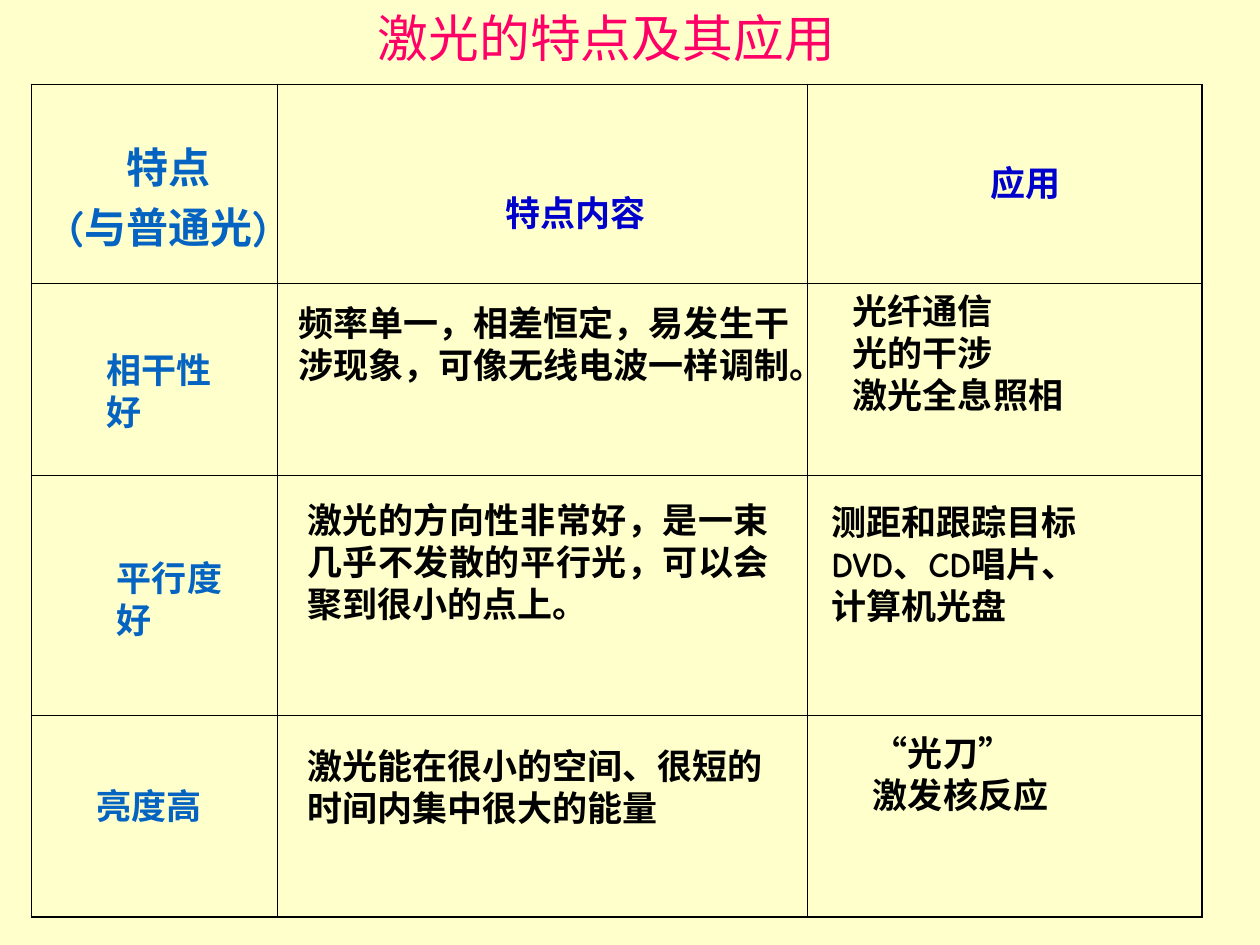
from dataclasses import dataclass

from lxml.etree import SubElement
from pptx import Presentation
from pptx.dml.color import RGBColor
from pptx.enum.lang import MSO_LANGUAGE_ID as Lang
from pptx.enum.text import MSO_ANCHOR as Anchor, MSO_AUTO_SIZE as AutoSize, PP_ALIGN as Align
from pptx.oxml.ns import qn
from pptx.util import Inches, Pt

GRID_COLUMNS, GRID_ROWS = 100, 75
TITLE_ONLY = 5


@dataclass(frozen=True)
class Theme:
    paper: str = "FFFFCC"
    title: str = "FF0066"
    feature: str = "0563C1"
    heading: str = "0000CC"
    body: str = "000000"
    rule: str = "000000"
    title_size: float = 29
    corner_size: float = 24
    body_size: float = 20
    outer_rule: float = 1.08
    inner_rule: float = 0.45
    title_font: str = "Arial"
    body_font: str = "Comic Neue"


def write(frame, text, *, font, size, color, bold=False, align=Align.LEFT, gap=0, quote_font=None):
    """Fill a frame, one paragraph a line; curly quotes may take their own font."""
    for number, line in enumerate(text.split("\n")):
        paragraph = frame.add_paragraph() if number else frame.paragraphs[0]
        paragraph.alignment = align
        paragraph.space_before = Pt(gap if number else 0)
        pieces = line.replace("“", "\t“\t").replace("”", "\t”\t").split("\t")
        for piece in filter(None, pieces):
            run = paragraph.add_run()
            run.text = piece
            run.font.name = quote_font if quote_font and piece in "“”" else font
            run.font.size, run.font.bold = Pt(size), bold
            run.font.color.rgb = RGBColor.from_string(color)
            run.font.language_id = Lang.SIMPLIFIED_CHINESE


class SlideBuilder:
    def __init__(self, deck, theme):
        self.theme = theme
        self.column = deck.slide_width / GRID_COLUMNS
        self.row = deck.slide_height / GRID_ROWS
        self.slide = deck.slides.add_slide(deck.slide_layouts[TITLE_ONLY])
        self.paint(self.slide.background.fill)

    def paint(self, fill):
        fill.solid()
        fill.fore_color.rgb = RGBColor.from_string(self.theme.paper)

    def box(self, left, top, width, height):
        """Turn grid columns and rows into slide lengths."""
        return (round(left * self.column), round(top * self.row),
                round(width * self.column), round(height * self.row))

    def title(self, text, *area):
        heading = self.slide.shapes.title
        heading.left, heading.top, heading.width, heading.height = self.box(*area)
        self.paint(heading.fill)
        frame = heading.text_frame
        frame.auto_size, frame.vertical_anchor = AutoSize.NONE, Anchor.TOP
        write(frame, text, font=self.theme.title_font, size=self.theme.title_size,
              color=self.theme.title, align=Align.CENTER)

    def ruled_table(self, left, top, widths, heights):
        area = self.box(left, top, sum(widths), sum(heights))
        table = self.slide.shapes.add_table(len(heights), len(widths), *area).table
        table.first_row = table.horz_banding = False
        for column, width in zip(table.columns, widths):
            column.width = round(width * self.column)
        for row, height in zip(table.rows, heights):
            row.height = round(height * self.row)
        last_row, last_column = len(heights) - 1, len(widths) - 1
        for r in range(len(heights)):
            for c in range(len(widths)):
                cell = table.cell(r, c)
                outer = {"L": c == 0, "R": c == last_column, "T": r == 0, "B": r == last_row}
                for side, is_outer in outer.items():
                    self.border(cell, side, self.theme.outer_rule if is_outer
                                else self.theme.inner_rule)
                cell.fill.background()

    def border(self, cell, side, points):
        line = SubElement(cell._tc.get_or_add_tcPr(), qn(f"a:ln{side}"), w=str(int(Pt(points))))
        SubElement(SubElement(line, qn("a:solidFill")), qn("a:srgbClr"), val=self.theme.rule)

    def text(self, text, *area, **style):
        frame = self.slide.shapes.add_textbox(*self.box(*area)).text_frame
        frame.word_wrap, frame.auto_size = True, AutoSize.SHAPE_TO_FIT_TEXT
        defaults = dict(font=self.theme.body_font, size=self.theme.body_size,
                        color=self.theme.body, bold=True)
        write(frame, text, **{**defaults, **style})


def main():
    deck = Presentation()
    deck.slide_width, deck.slide_height = Inches(10), Inches(7.5)
    theme = Theme()
    page = SlideBuilder(deck, theme)

    page.title("激光的特点及其应用", 10.6, 0, 75.1, 7.1)
    page.ruled_table(2.5, 6.7, (19.5, 42.1, 31.3), (15.8, 15.2, 19.1, 16))

    page.text("特点\n(与普通光)", 2, 10.7, 22.8, 15.9, size=theme.corner_size,
              color=theme.feature, align=Align.CENTER, gap=6)
    for feature, *area in (
        ("相干性好", 7.5, 27.2, 12.6, 7.7),
        ("平行度好", 8.3, 43.7, 11, 7.7),
        ("亮度高", 6.7, 61.8, 17.3, 4.4),
    ):
        page.text(feature, *area, color=theme.feature)

    page.text("特点内容", 33.5, 14.7, 24.4, 9.4, color=theme.heading, align=Align.CENTER)
    page.text("频率单一，相差恒定，易发生干涉现象，可像无线电波一样调制。", 22.7, 23.4, 41, 12.8)
    page.text("激光的方向性非常好，是一束几乎不发散的平行光，可以会聚到很小的点上。",
              23.4, 39.1, 38.6, 16.1, align=Align.JUSTIFY)
    page.text("激光能在很小的空间、很短的时间内集中很大的能量", 23.4, 58.6, 40.2, 12.8)

    page.text("应用", 77.6, 12.3, 20.5, 4.4, color=theme.heading)
    page.text("光纤通信\n光的干涉\n激光全息照相", 66.7, 22.5, 29.2, 11)
    page.text("测距和跟踪目标\nDVD、CD唱片、\n计算机光盘", 65, 39.2, 30, 16.1)
    page.text("“光刀”\n激发核反应", 68.3, 57.6, 22, 12.8, quote_font=theme.title_font)

    deck.save("out.pptx")


if __name__ == "__main__":
    main()
